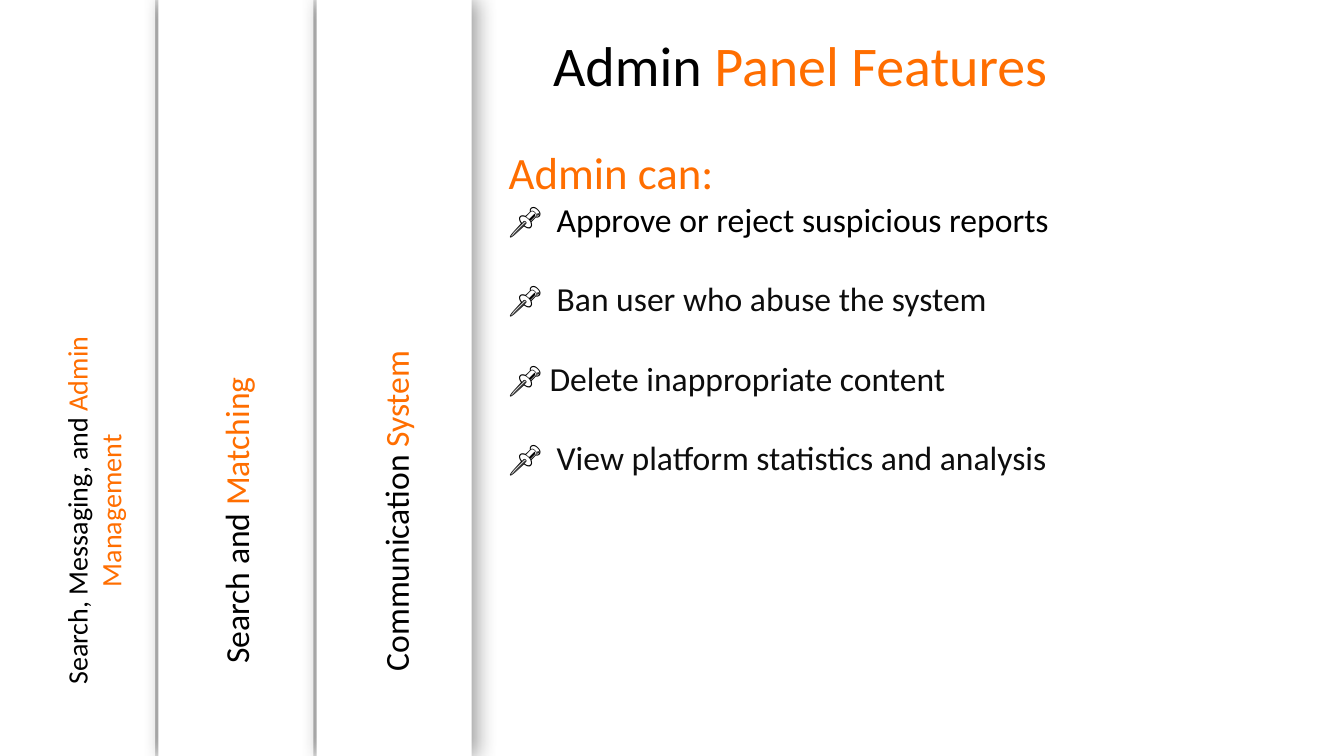
from pptx import Presentation
from pptx.dml.color import RGBColor
from pptx.enum.shapes import MSO_SHAPE
from pptx.enum.text import MSO_AUTO_SIZE, PP_ALIGN
from pptx.oxml import parse_xml
from pptx.oxml.ns import nsdecls
from pptx.util import Cm, Pt

BLACK, SOFT_BLACK, ORANGE, WHITE = "000000", "0D0D0D", "FF6E00", "FFFFFF"


def add_run(paragraph, text, size, color):
    run = paragraph.add_run()
    run.text = text
    run.font.name = "Calibri"
    run.font.size = Pt(size)
    run.font.color.rgb = RGBColor.from_string(color)


def add_text(left, top, width, height, runs, size, alignment, rotation=0):
    box = slide.shapes.add_textbox(Cm(left), Cm(top), Cm(width), Cm(height))
    box.rotation = rotation
    frame = box.text_frame
    frame.word_wrap = True
    frame.auto_size = MSO_AUTO_SIZE.SHAPE_TO_FIT_TEXT
    paragraph = frame.paragraphs[0]
    paragraph.alignment = alignment
    for text, color in runs:
        add_run(paragraph, text, size, color)
    return frame


presentation = Presentation()
presentation.slide_width, presentation.slide_height = Cm(33.87), Cm(19.05)
slide = presentation.slides.add_slide(presentation.slide_layouts[6])

for index in range(3):
    panel = slide.shapes.add_shape(
        MSO_SHAPE.RECTANGLE, Cm(3.99 * index), 0, Cm(3.91), Cm(19.05))
    panel.fill.solid()
    panel.fill.fore_color.rgb = RGBColor.from_string(WHITE)
    panel.line.fill.background()
    panel.shadow.inherit = False
    effects = panel._element.spPr.find("{*}effectLst")
    effects.append(parse_xml(
        f'<a:outerShdw {nsdecls("a")} blurRad="{Pt(15)}" dist="{Pt(3)}" dir="0" '
        f'algn="l" rotWithShape="0"><a:srgbClr val="{BLACK}">'
        '<a:alpha val="40000"/></a:srgbClr></a:outerShdw>'))

add_text(-2.57, 11.46, 10.72, 2.82,
         [("Search, Messaging, and ", BLACK), ("Admin Management", ORANGE)],
         20, PP_ALIGN.CENTER, 270)
matching = add_text(0.58, 12.32, 10.72, 1.27,
                    [("Search and ", BLACK), ("Matching", ORANGE)],
                    24, PP_ALIGN.LEFT, 270)
matching.paragraphs[0]._p.get_or_add_pPr().set("marL", str(Cm(1.34)))
add_text(5, 12.24, 9.93, 1.27,
         [("Communication ", BLACK), ("System", ORANGE)],
         24, PP_ALIGN.CENTER, 270)

add_text(12.57, 0.64, 15.19, 1.96,
         [("Admin ", BLACK), ("Panel Features", ORANGE)], 40, PP_ALIGN.CENTER)

features = add_text(12.57, 3.53, 20.73, 9.83,
                    [("Admin can:", ORANGE)], 32, PP_ALIGN.LEFT)
for text, color, indent, gap in [
    ("Approve or reject suspicious reports", BLACK, 1.21, 0),
    ("Ban user who abuse the system", SOFT_BLACK, 1.21, 28),
    ("Delete inappropriate content", SOFT_BLACK, 1.03, 28),
    ("View platform statistics and analysis", SOFT_BLACK, 1.21, 28),
]:
    paragraph = features.add_paragraph()
    paragraph.space_before = Pt(gap)
    properties = paragraph._p.get_or_add_pPr()
    properties.set("marL", str(Cm(indent)))
    properties.set("indent", str(-Cm(indent)))
    add_run(paragraph, "📌\t", 24, BLACK)
    add_run(paragraph, text, 24, color)

presentation.save("out.pptx")
